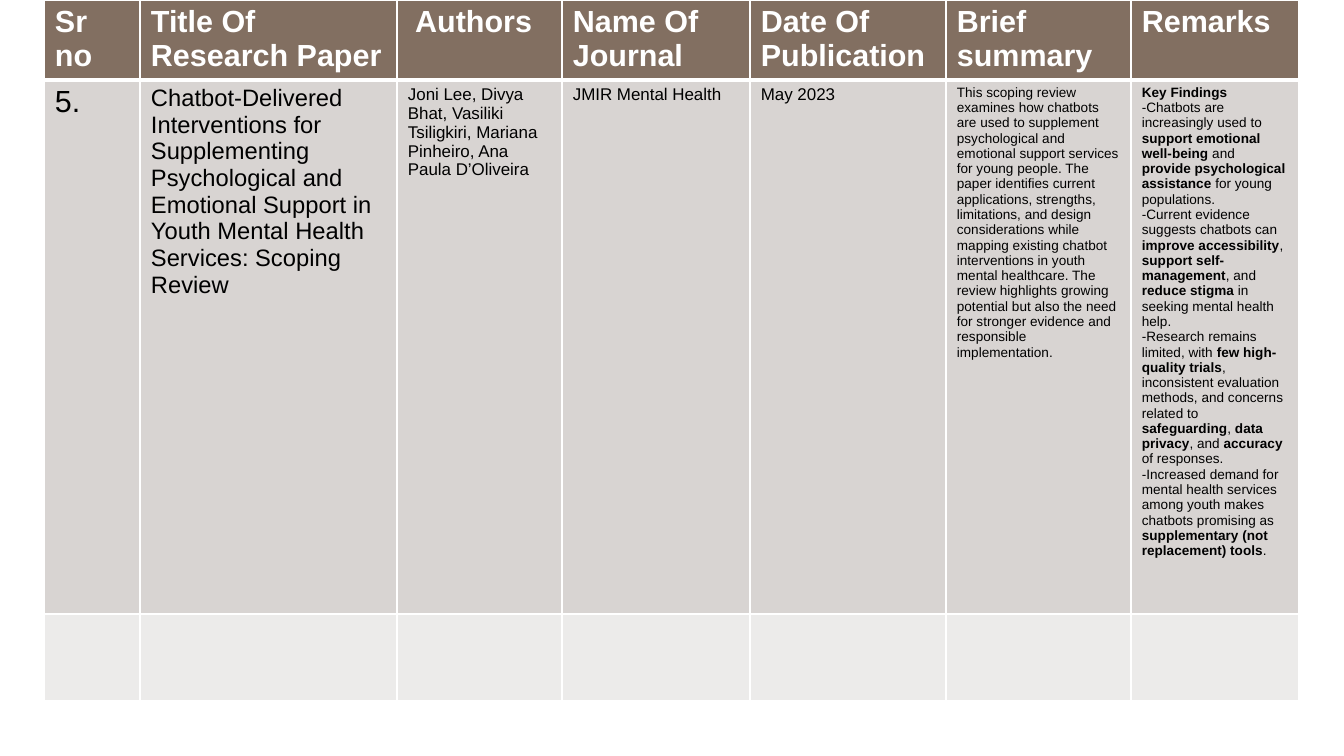
from lxml import etree
from pptx import Presentation
from pptx.dml.color import RGBColor
from pptx.oxml.ns import qn
from pptx.util import Pt

HEADERS = ["Sr no", "Title Of Research Paper", " Authors", "Name Of Journal",
           "Date Of Publication", "Brief summary", "Remarks"]
# Each entry is (font size, paragraphs); ** switches bold on and off.
PAPER = [
    (18, ["5."]),
    (14, ["Chatbot-Delivered Interventions for Supplementing Psychological and "
          "Emotional Support in Youth Mental Health Services: Scoping Review"]),
    (10, ["Joni Lee, Divya Bhat, Vasiliki Tsiligkiri, Mariana Pinheiro, Ana Paula D’Oliveira"]),
    (10, ["JMIR Mental Health"]),
    (10, ["May 2023"]),
    (8, ["This scoping review examines how chatbots are used to supplement psychological "
         "and emotional support services for young people. The paper identifies current "
         "applications, strengths, limitations, and design considerations while mapping "
         "existing chatbot interventions in youth mental healthcare. The review highlights "
         "growing potential but also the need for stronger evidence and responsible "
         "implementation."]),
    (8, ["**Key Findings**",
         "-Chatbots are increasingly used to **support emotional well-being** and "
         "**provide psychological assistance** for young populations.",
         "-Current evidence suggests chatbots can **improve accessibility**, "
         "**support self-management**, and **reduce stigma** in seeking mental health help.",
         "-Research remains limited, with **few high-quality trials**, inconsistent "
         "evaluation methods, and concerns related to **safeguarding**, **data privacy**, "
         "and **accuracy** of responses.",
         "-Increased demand for mental health services among youth makes chatbots "
         "promising as **supplementary (not replacement) tools**."]),
]

WHITE = RGBColor(0xFF, 0xFF, 0xFF)
BLACK = RGBColor(0x00, 0x00, 0x00)
BROWN = RGBColor(0x82, 0x6F, 0x61)
TAUPE = RGBColor(0xD8, 0xD4, 0xD2)
PALE = RGBColor(0xEC, 0xEB, 0xEA)

FONT = "Arial"
HEADER_SIZE = 18
THIN, THICK = Pt(0.96), Pt(3)
PX = 914400 / 122
SLIDE_WIDTH, SLIDE_HEIGHT = 1344, 756
TABLE_LEFT, TABLE_TOP = 44, 0
COLUMN_WIDTHS = [96, 257, 165, 188, 196, 185, 168]
ROW_HEIGHTS = [80, 534, 87]
MARGIN_X, MARGIN_Y = 11, 5


def px(length):
    return round(length * PX)


def set_borders(cell, top, bottom):
    properties = cell._tc.get_or_add_tcPr()
    widths = {"a:lnL": THIN, "a:lnR": THIN, "a:lnT": top, "a:lnB": bottom}
    for tag, width in widths.items():
        line = etree.SubElement(properties, qn(tag), w=str(int(width)))
        fill = etree.SubElement(line, qn("a:solidFill"))
        etree.SubElement(fill, qn("a:srgbClr"), val=str(WHITE))


def style_cell(cell, color, top, bottom):
    cell.margin_left = cell.margin_right = px(MARGIN_X)
    cell.margin_top = cell.margin_bottom = px(MARGIN_Y)
    set_borders(cell, top, bottom)
    cell.fill.solid()
    cell.fill.fore_color.rgb = color


def write_cell(cell, paragraphs, size, color):
    frame = cell.text_frame
    frame.text = "\n".join(text.replace("**", "\v") for text in paragraphs)
    for para, text in zip(frame.paragraphs, paragraphs):
        para.clear()
        for index, part in enumerate(text.split("**")):
            if part:
                span = para.add_run()
                span.text = part
                span.font.name = FONT
                span.font.size = Pt(size)
                span.font.bold = index % 2 == 1
                span.font.color.rgb = color


def main():
    deck = Presentation()
    deck.slide_width, deck.slide_height = px(SLIDE_WIDTH), px(SLIDE_HEIGHT)
    page = deck.slides.add_slide(deck.slide_layouts[6])
    table = page.shapes.add_table(
        len(ROW_HEIGHTS), len(COLUMN_WIDTHS), px(TABLE_LEFT), px(TABLE_TOP),
        px(sum(COLUMN_WIDTHS)), px(sum(ROW_HEIGHTS))).table
    for column, width in zip(table.columns, COLUMN_WIDTHS):
        column.width = px(width)
    for row, height in zip(table.rows, ROW_HEIGHTS):
        row.height = px(height)

    row_styles = [(BROWN, THIN, THICK), (TAUPE, THICK, THIN), (PALE, THIN, THIN)]
    for row, row_style in zip(table.rows, row_styles):
        for cell in row.cells:
            style_cell(cell, *row_style)

    for column, (header, (size, paragraphs)) in enumerate(zip(HEADERS, PAPER)):
        write_cell(table.cell(0, column), [f"**{header}**"], HEADER_SIZE, WHITE)
        write_cell(table.cell(1, column), paragraphs, size, BLACK)
    deck.save("out.pptx")


if __name__ == "__main__":
    main()
